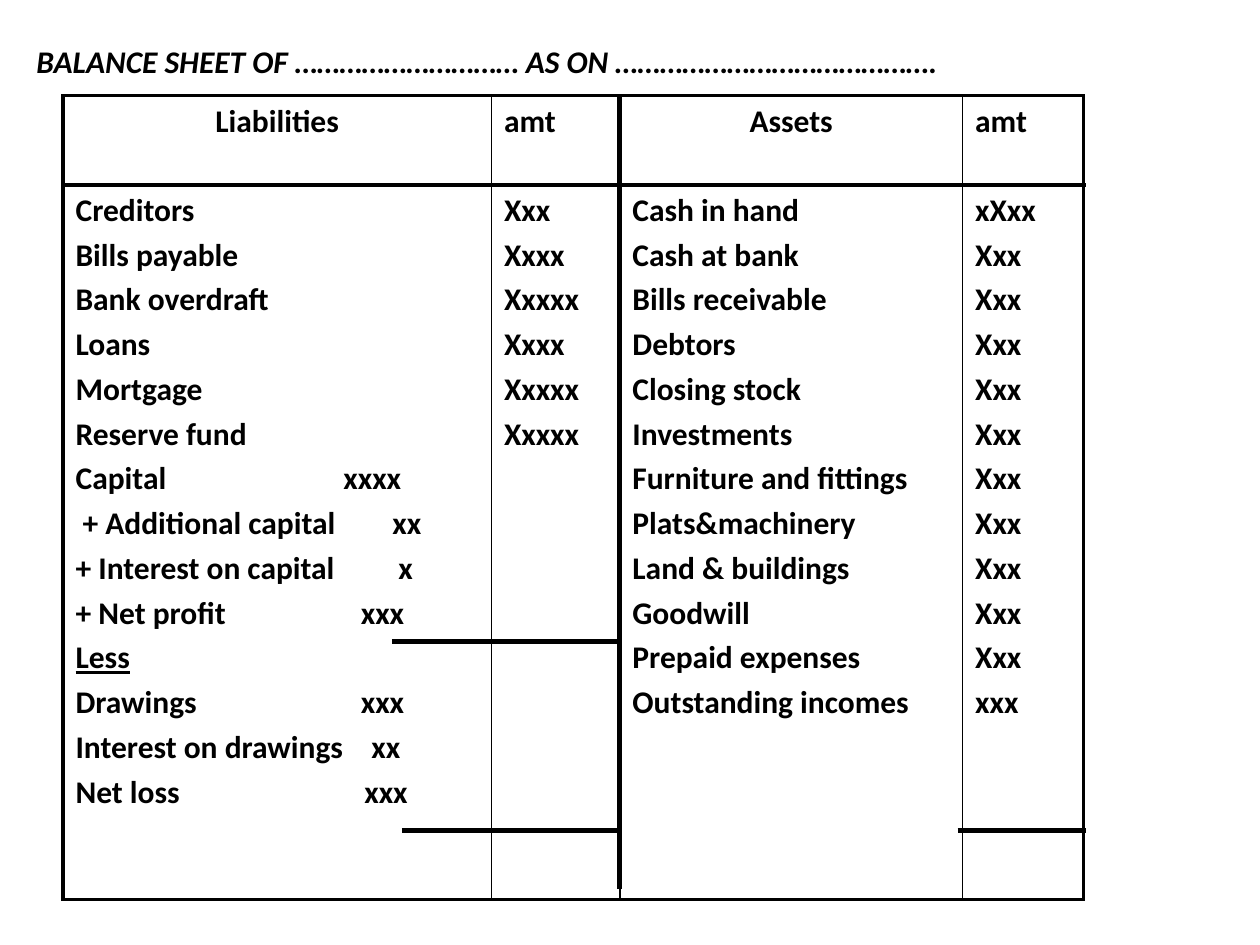
from dataclasses import dataclass

from lxml import etree
from pptx import Presentation
from pptx.dml.color import RGBColor
from pptx.enum.shapes import MSO_CONNECTOR
from pptx.enum.text import MSO_ANCHOR, MSO_AUTO_SIZE, PP_ALIGN
from pptx.oxml.ns import qn
from pptx.util import Pt

STRAIGHT = MSO_CONNECTOR.STRAIGHT
MIDDLE = MSO_ANCHOR.MIDDLE
GROW = MSO_AUTO_SIZE.SHAPE_TO_FIT_TEXT
LEFT, CENTER = PP_ALIGN.LEFT, PP_ALIGN.CENTER


@dataclass(frozen=True)
class Theme:
    """Colours, type and line weights of the page."""
    ink: str = "000000"
    font: str = "Calibri"
    size: float = 18
    gap: float = 3.6
    thin: float = 1
    frame: float = 2.25
    heavy: float = 3


@dataclass(frozen=True)
class Box:
    """A region of the page in points."""
    left: float
    top: float
    width: float
    height: float


@dataclass(frozen=True)
class Entry:
    """One ledger line with an optional inset amount."""
    label: str
    amount: str = ""
    tab: float = 0
    indent: float = 0
    underline: bool = False


THEME = Theme()
COLUMNS = (244.8, 73.4, 195.9, 69.1)
ROWS = (51.1, 408.2)
HEADINGS = ("Liabilities", "amt", "Assets", "amt")
LIABILITIES = [Entry(name) for name in (
    "Creditors", "Bills payable", "Bank overdraft", "Loans", "Mortgage", "Reserve fund")] + [
    Entry("Capital", "xxxx", 153),
    Entry("+ Additional capital", "xx", 177, indent=4),
    Entry("+ Interest on capital", "x", 184.5),
    Entry("+ Net profit", "xxx", 163),
    Entry("Less", underline=True),
    Entry("Drawings", "xxx", 163),
    Entry("Interest on drawings", "xx", 169),
    Entry("Net loss", "xxx", 165),
]
ASSETS = [Entry(name) for name in (
    "Cash in hand", "Cash at bank", "Bills receivable", "Debtors", "Closing stock",
    "Investments", "Furniture and fittings", "Plats&machinery", "Land & buildings",
    "Goodwill", "Prepaid expenses", "Outstanding incomes")]
LIABILITY_AMOUNTS = [Entry(text) for text in ("Xxx", "Xxxx", "Xxxxx", "Xxxx", "Xxxxx", "Xxxxx")]
ASSET_AMOUNTS = [Entry(text) for text in ["xXxx"] + ["Xxx"] * 10 + ["xxx"]]


def add_span(para, text, italic=None, underline=None):
    """Add one bold run in the theme type."""
    span = para.add_run()
    span.text = text
    font = span.font
    font.name, font.size, font.bold = THEME.font, Pt(THEME.size), True
    font.italic, font.underline = italic, underline
    font.color.rgb = RGBColor.from_string(THEME.ink)


def set_tab(para, position):
    """Give a paragraph one left tab stop."""
    stops = etree.SubElement(para._p.get_or_add_pPr(), qn("a:tabLst"))
    etree.SubElement(stops, qn("a:tab"), pos=str(Pt(position)), algn="l")


def fill_cell(cell, entries, align=LEFT):
    """Write ledger entries into a cell, one paragraph each."""
    frame = cell.text_frame
    for index, entry in enumerate(entries):
        para = frame.add_paragraph() if index else frame.paragraphs[0]
        para.alignment = align
        para.space_before = Pt(THEME.gap if index else 0)
        if entry.indent:
            para._p.get_or_add_pPr().set("marL", str(Pt(entry.indent)))
        add_span(para, entry.label, underline=entry.underline or None)
        if entry.amount:
            set_tab(para, entry.tab)
            add_span(para, "\t" + entry.amount)


def set_borders(cell, weights):
    """Draw the left, right, top and bottom borders of an unfilled cell."""
    cell.fill.background()
    properties = cell._tc.get_or_add_tcPr()
    for index, (side, weight) in enumerate(zip("LRTB", weights)):
        line = etree.Element(qn("a:ln" + side), w=str(Pt(weight)))
        solid = etree.SubElement(line, qn("a:solidFill"))
        etree.SubElement(solid, qn("a:srgbClr"), val=THEME.ink)
        properties.insert(index, line)


def add_rule(page, box, start, end, weight):
    """Draw a straight rule between two points of the box."""
    points = [Pt(value) for x, y in (start, end) for value in (box.left + x, box.top + y)]
    rule = page.shapes.add_connector(STRAIGHT, *points)
    rule.line.color.rgb = RGBColor.from_string(THEME.ink)
    rule.line.width = Pt(weight)
    etree.SubElement(rule._element.spPr, qn("a:effectLst"))


def add_title(page, box):
    """Place the balance sheet heading."""
    shape = page.shapes.add_textbox(Pt(box.left), Pt(box.top), Pt(box.width), Pt(box.height))
    frame = shape.text_frame
    frame.word_wrap, frame.auto_size, frame.vertical_anchor = False, GROW, MIDDLE
    text = "BALANCE SHEET OF " + "…" * 10 + " AS ON " + "…" * 14 + "."
    add_span(frame.paragraphs[0], text, italic=True)


def add_ledger(page, box):
    """Place the two-sided account table."""
    table = page.shapes.add_table(
        len(ROWS), len(COLUMNS), Pt(box.left), Pt(box.top), Pt(box.width), Pt(box.height)).table
    table.first_row = table.horz_banding = False
    for column, width in zip(table.columns, COLUMNS):
        column.width = Pt(width)
    for row, height in zip(table.rows, ROWS):
        row.height = Pt(height)
    bodies = (LIABILITIES, LIABILITY_AMOUNTS, ASSETS, ASSET_AMOUNTS)
    last = len(COLUMNS) - 1
    for index, (heading, body) in enumerate(zip(HEADINGS, bodies)):
        head, content = table.cell(0, index), table.cell(1, index)
        fill_cell(head, [Entry(heading)], LEFT if index % 2 else CENTER)
        fill_cell(content, body)
        sides = [THEME.frame if index == edge else THEME.thin for edge in (0, last)]
        set_borders(head, sides + [THEME.frame, THEME.thin])
        set_borders(content, sides + [THEME.thin, THEME.frame])


def add_rules(page, box):
    """Draw the centre, header and subtotal rules over the table."""
    middle, right, total = sum(COLUMNS[:2]), box.width + 1.4, 419.8
    add_rule(page, box, (middle, 0), (middle, 453.6), THEME.heavy)
    add_rule(page, box, (0.7, ROWS[0]), (right, ROWS[0]), THEME.frame)
    for left, end, y in ((187.9, middle, 311.8), (193.7, middle, total), (511.2, right, total)):
        add_rule(page, box, (left, y), (end, y), THEME.heavy)


def build():
    """Build and save the deck."""
    deck = Presentation()
    deck.slide_width, deck.slide_height = Pt(720), Pt(540)
    page = deck.slides.add_slide(deck.slide_layouts[6])
    ledger = Box(36, 54.7, sum(COLUMNS), sum(ROWS))
    add_ledger(page, ledger)
    add_rules(page, ledger)
    add_title(page, Box(13.7, 20.2, 711.4, 28.8))
    deck.save("out.pptx")


build()
